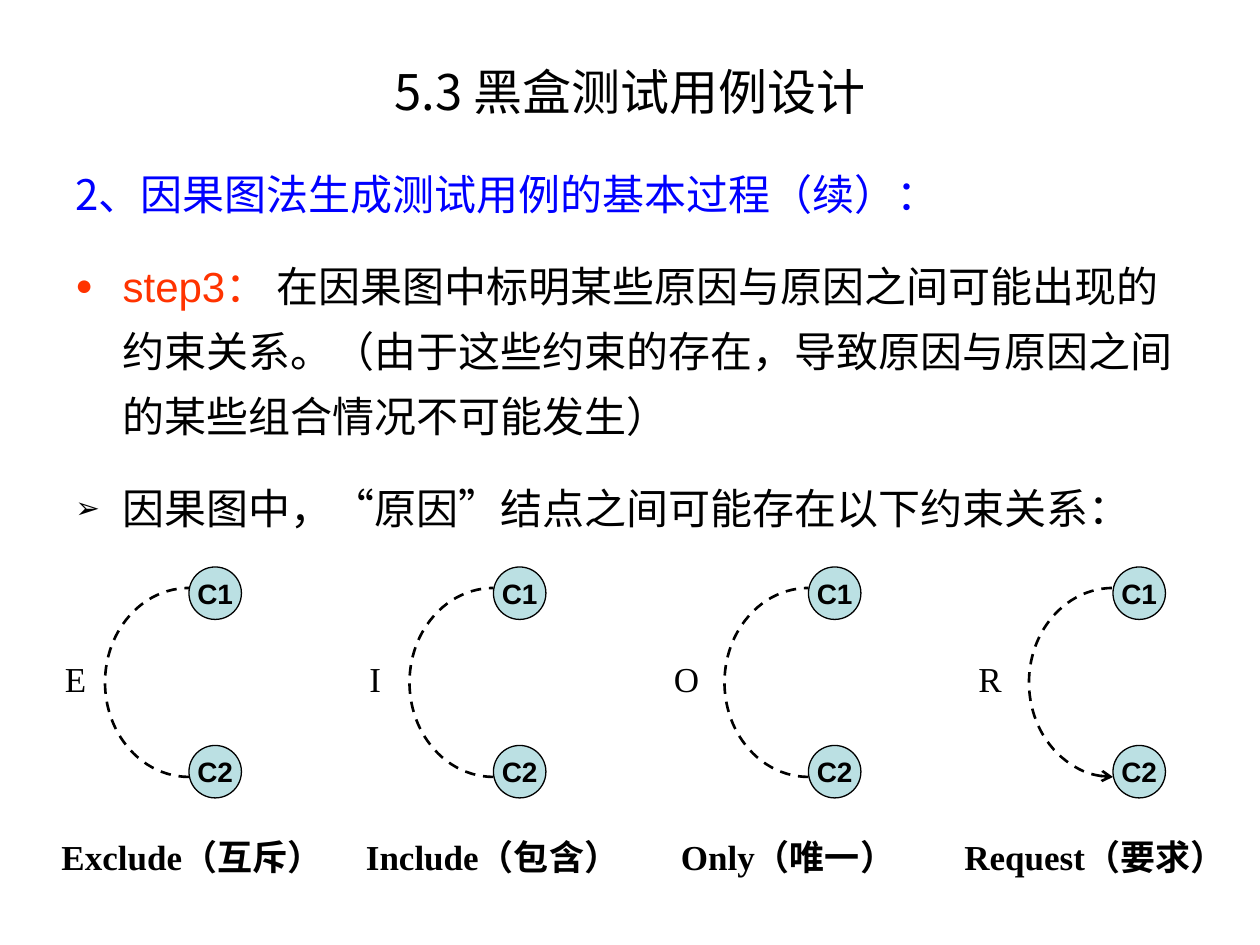
from dataclasses import dataclass
from typing import Optional

from lxml.etree import SubElement
from pptx import Presentation
from pptx.dml.color import RGBColor as Rgb
from pptx.enum.dml import MSO_LINE_DASH_STYLE as Dash
from pptx.enum.shapes import MSO_AUTO_SHAPE_TYPE as Shape
from pptx.enum.text import MSO_ANCHOR as Anchor, MSO_AUTO_SIZE as AutoSize, PP_ALIGN as Align
from pptx.oxml.ns import qn
from pptx.util import Pt


@dataclass(frozen=True)
class Theme:
    """Colours, fonts and type sizes of the slide."""
    ink: str = "000000"
    heading: str = "0000FF"
    step: str = "FF3300"
    node: str = "BBE0E3"
    cjk: str = "Noto Sans CJK SC"
    sans: str = "Arial"
    serif: str = "Times New Roman"
    title_size: float = 28
    body_size: float = 24
    label_size: float = 20
    node_size: float = 16


@dataclass(frozen=True)
class Constraint:
    """One constraint between two causes, with its places in points."""
    letter: str
    name: str
    gloss: str
    node_left: float
    letter_left: float
    letter_width: float
    caption_left: float
    caption_width: float
    directed: bool = False


THEME = Theme()
NODE_SIDE = 30
NODES = (("C2", 426), ("C1", 324))
ARC_WIDTH, ARC_HEIGHT, ARC_TOP = 96, 108, 336
LETTER_TOP, CAPTION_TOP, LABEL_HEIGHT = 372, 474, 31.5
CONSTRAINTS = (
    Constraint("E", "Exclude", "（互斥）", 108, 30, 27, 28, 170),
    Constraint("I", "Include", "（包含）", 282, 204, 21, 202, 168),
    Constraint("O", "Only", "（唯一）", 462, 378, 29, 382, 144),
    Constraint("R", "Request", "（要求）", 636, 552, 28, 544, 170, True),
)


def add_span(para, text: str, *, size: float, font: str = THEME.cjk,
             color: str = THEME.ink, bold: bool = False) -> None:
    """Append formatted text to a paragraph."""
    span = para.add_run()
    span.text = text
    span.font.size = Pt(size)
    span.font.name = font
    span.font.bold = bold
    span.font.color.rgb = Rgb.from_string(color)
    east_asian = SubElement(span.font._element, qn("a:ea"))
    east_asian.set("typeface", THEME.cjk)


def add_body_para(para, spans, bullet: Optional[str] = None, color: str = THEME.ink) -> None:
    """Fill a body paragraph with spans, hanging indent and optional bullet."""
    para.line_spacing = 1.3
    para.space_before = Pt(15)
    layout = para._p.get_or_add_pPr()
    layout.set("marL", str(Pt(27)))
    layout.set("indent", str(Pt(-27)))
    if bullet:
        tint = SubElement(SubElement(layout, qn("a:buClr")), qn("a:srgbClr"))
        tint.set("val", color)
        SubElement(layout, qn("a:buSzPct")).set("val", "70000")
        SubElement(layout, qn("a:buFont")).set("typeface", THEME.sans)
        SubElement(layout, qn("a:buChar")).set("char", bullet)
    for text, style in spans:
        add_span(para, text, size=THEME.body_size, **style)


def add_title(page, text: str) -> None:
    """Place and fill the title placeholder."""
    title = page.shapes.title
    title.left, title.top, title.width, title.height = Pt(36), Pt(24), Pt(648), Pt(56)
    frame = title.text_frame
    frame.auto_size = AutoSize.NONE
    frame.vertical_anchor = Anchor.MIDDLE
    para = frame.paragraphs[0]
    para.alignment = Align.CENTER
    add_span(para, text, size=THEME.title_size)


def add_body(page) -> None:
    """Add the explanatory text."""
    frame = page.shapes.add_textbox(Pt(36), Pt(84), Pt(648), Pt(414)).text_frame
    frame.word_wrap = True
    add_body_para(frame.paragraphs[0],
                  [("2、因果图法生成测试用例的基本过程（续）：", {"color": THEME.heading})])
    add_body_para(frame.add_paragraph(), [
        ("step3", {"font": THEME.sans, "color": THEME.step}),
        ("：", {"color": THEME.step}),
        (" 在因果图中标明某些原因与原因之间可能出现的约束关系。"
         "（由于这些约束的存在，导致原因与原因之间的某些组合情况不可能发生）", {}),
    ], bullet="●", color=THEME.step)
    add_body_para(frame.add_paragraph(),
                  [("因果图中，“原因”结点之间可能存在以下约束关系：", {})], bullet="➢")


def add_label(group, left: float, top: float, width: float):
    """Add a one-line text box and return its paragraph."""
    box = group.shapes.add_textbox(Pt(left), Pt(top), Pt(width), Pt(LABEL_HEIGHT))
    box.text_frame.word_wrap = False
    box.text_frame.auto_size = AutoSize.SHAPE_TO_FIT_TEXT
    return box.text_frame.paragraphs[0]


def add_node(group, text: str, left: float, top: float) -> None:
    """Add a round cause node."""
    node = group.shapes.add_shape(Shape.OVAL, Pt(left), Pt(top), Pt(NODE_SIDE), Pt(NODE_SIDE))
    node.shadow.inherit = False
    node.fill.solid()
    node.fill.fore_color.rgb = Rgb.from_string(THEME.node)
    node.line.color.rgb = Rgb.from_string(THEME.ink)
    node.line.width = Pt(0.75)
    node.text_frame.word_wrap = False
    node.text_frame.vertical_anchor = Anchor.MIDDLE
    para = node.text_frame.paragraphs[0]
    para.alignment = Align.CENTER
    add_span(para, text, size=THEME.node_size, font=THEME.sans, bold=True)


def add_arc(group, left: float, directed: bool) -> None:
    """Add the dashed left half of an ellipse, with an arrowhead below if directed."""
    arc = group.shapes.add_shape(Shape.ARC, Pt(left), Pt(ARC_TOP), Pt(ARC_WIDTH), Pt(ARC_HEIGHT))
    arc.adjustments[0], arc.adjustments[1] = 54, 162
    arc.shadow.inherit = False
    arc.fill.background()
    arc.line.color.rgb = Rgb.from_string(THEME.ink)
    arc.line.width = Pt(1.5)
    arc.line.dash_style = Dash.DASH
    if directed:
        outline = arc.line._get_or_add_ln()
        SubElement(outline, qn("a:headEnd")).set("type", "arrow")


def add_constraint(page, item: Constraint) -> None:
    """Draw one constraint with its letter, nodes, arc and caption."""
    group = page.shapes.add_group_shape()
    for text, top in NODES:
        add_node(group, text, item.node_left, top)
    add_arc(group, item.node_left - ARC_WIDTH / 2, item.directed)
    letter = add_label(group, item.letter_left, LETTER_TOP, item.letter_width)
    add_span(letter, item.letter, size=THEME.label_size, font=THEME.serif)
    caption = add_label(group, item.caption_left, CAPTION_TOP, item.caption_width)
    add_span(caption, item.name, size=THEME.label_size, font=THEME.serif, bold=True)
    add_span(caption, item.gloss, size=THEME.label_size, font=THEME.sans, bold=True)


def main() -> None:
    """Build and save the deck."""
    deck = Presentation()
    deck.slide_width, deck.slide_height = Pt(720), Pt(540)
    page = deck.slides.add_slide(deck.slide_layouts[5])
    add_title(page, "5.3 黑盒测试用例设计")
    add_body(page)
    for item in CONSTRAINTS:
        add_constraint(page, item)
    deck.save("out.pptx")


if __name__ == "__main__":
    main()
